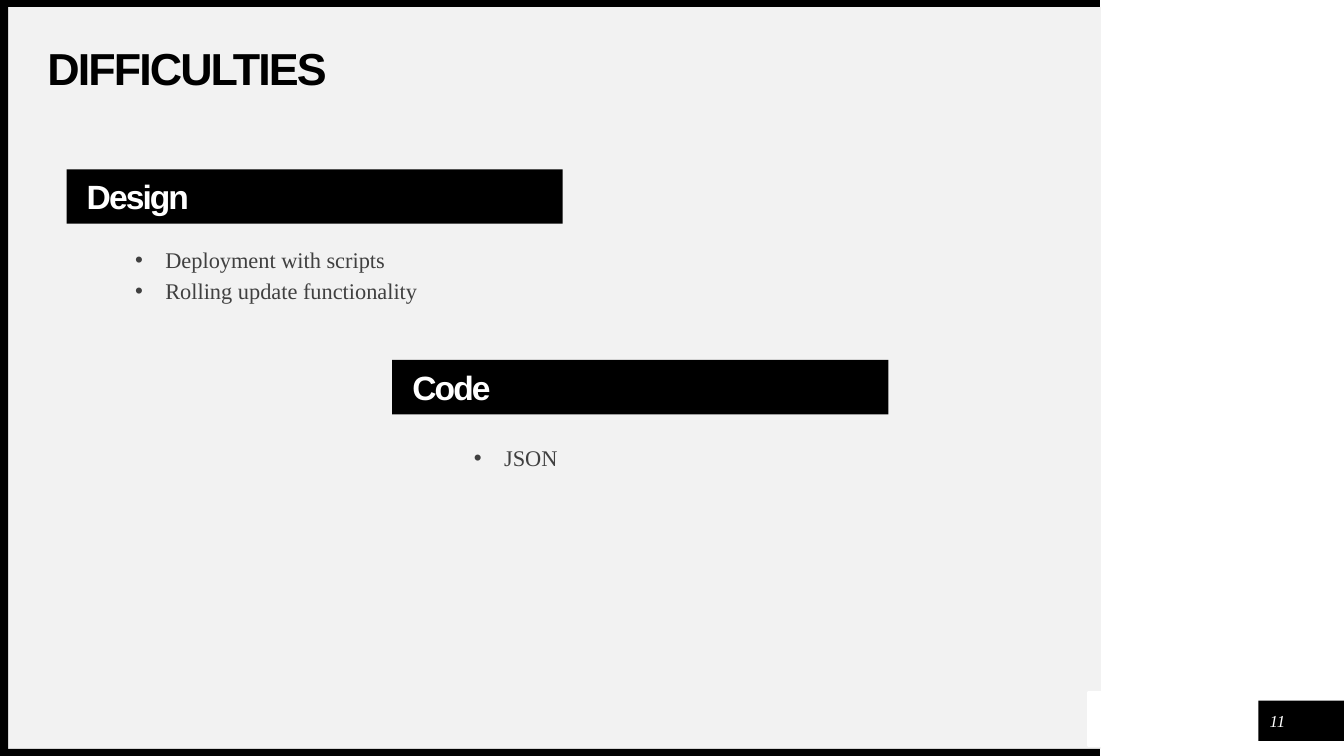
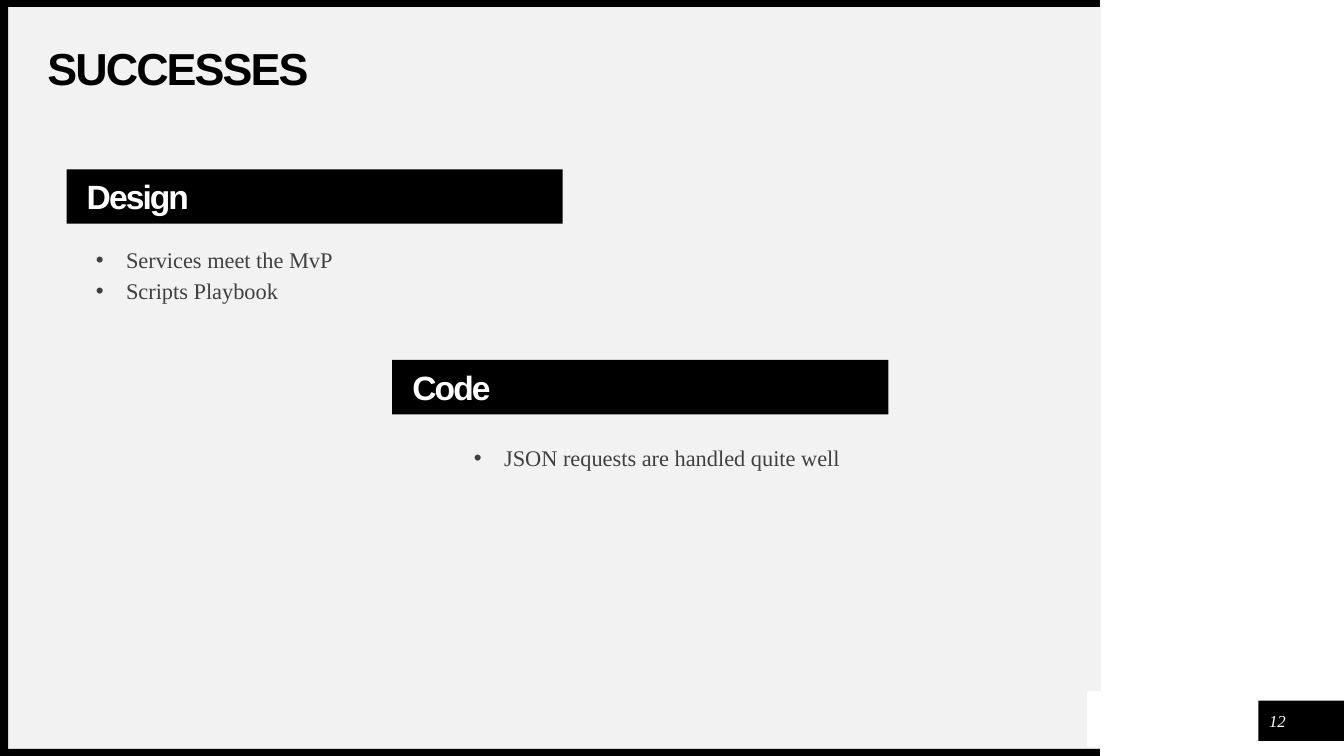
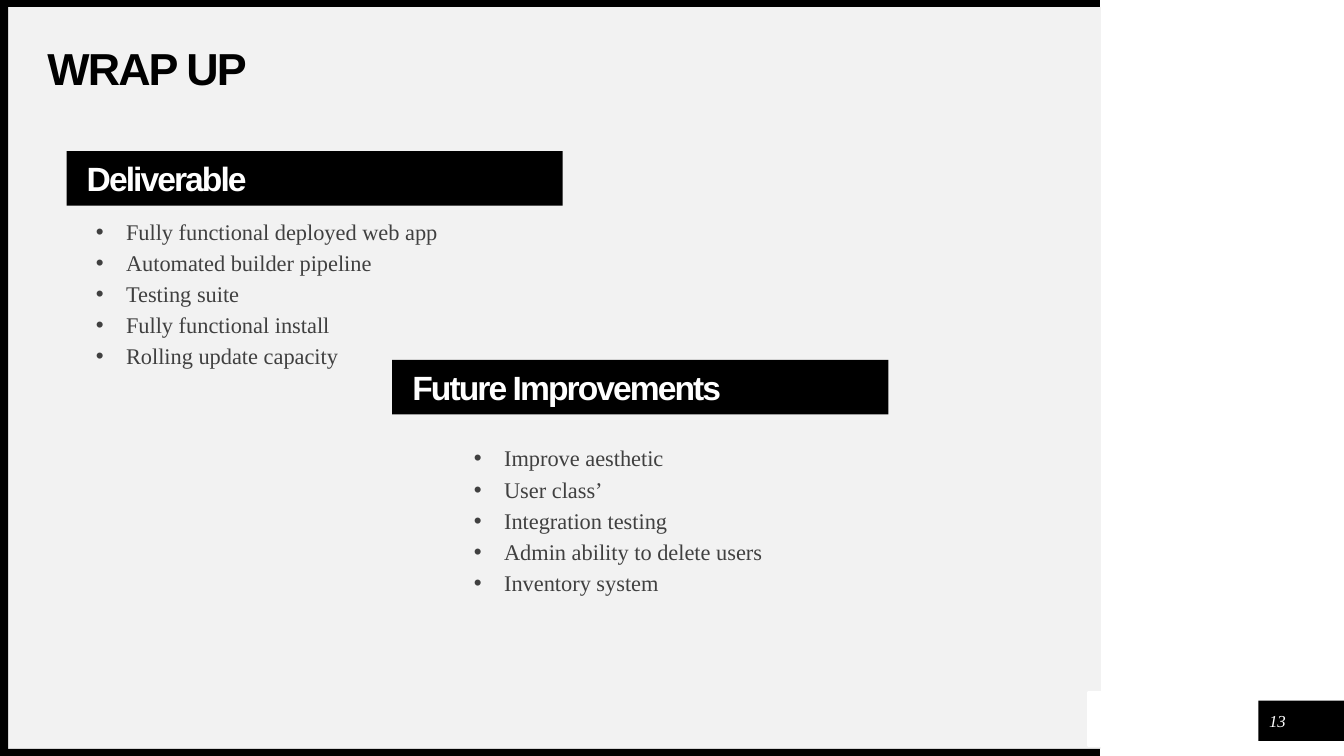
from lxml import etree
from pptx import Presentation
from pptx.dml.color import RGBColor
from pptx.enum.shapes import MSO_SHAPE
from pptx.enum.text import MSO_ANCHOR, MSO_AUTO_SIZE, PP_ALIGN
from pptx.oxml.ns import qn
from pptx.util import Emu, Pt

RECT = MSO_SHAPE.RECTANGLE
TOP, MIDDLE = MSO_ANCHOR.TOP, MSO_ANCHOR.MIDDLE
LEFT, CENTER = PP_ALIGN.LEFT, PP_ALIGN.CENTER
FIXED = MSO_AUTO_SIZE.NONE

BLACK = RGBColor(0x00, 0x00, 0x00)
WHITE = RGBColor(0xFF, 0xFF, 0xFF)
PALE = RGBColor(0xF2, 0xF2, 0xF2)
GRAY = RGBColor(0x40, 0x40, 0x40)
SANS, SERIF = "Arial", "Times New Roman"

UNIT = 9144  # EMU per px, 100 px to the inch
WIDE, HIGH = 1333, 750
BAR = (492, 54)
LIST = (531, 275)
LAYOUT = 4  # title, then two pairs of heading and list
FIRST = 11  # number of the first page

# Title, then heading spot, heading, list spot and items of both parts
PAGES = [
    ("DIFFICULTIES", [
        ((66, 168), "Design", (105, 247),
         ["Deployment with scripts", "Rolling update functionality"]),
        ((389, 357), "Code", (441, 444), ["JSON"]),
    ]),
    ("SUCCESSES", [
        ((66, 168), "Design", (66, 247),
         ["Services meet the MvP", "Scripts Playbook"]),
        ((389, 357), "Code", (441, 444),
         ["JSON requests are handled quite well"]),
    ]),
    ("WRAP UP", [
        ((66, 150), "Deliverable", (66, 219),
         ["Fully functional deployed web app", "Automated builder pipeline",
          "Testing suite", "Fully functional install",
          "Rolling update capacity"]),
        ((389, 357), "Future Improvements", (441, 444),
         ["Improve aesthetic", "User class’", "Integration testing",
          "Admin ability to delete users", "Inventory system"]),
    ]),
]


def px(count):
    return Emu(count * UNIT)


def place(shape, x, y, w, h):
    shape.left, shape.top, shape.width, shape.height = map(px, (x, y, w, h))


def set_frame(shape, anchor, left=0, top=0):
    frame = shape.text_frame
    frame.word_wrap = True
    frame.auto_size = FIXED
    frame.vertical_anchor = anchor
    frame.margin_left, frame.margin_top = px(left), px(top)
    frame.margin_right = frame.margin_bottom = 0
    return frame


def add_run(para, text, face, size, color, bold=False, italic=False):
    run = para.add_run()
    run.text = text
    font = run.font
    font.name, font.size = face, Pt(size)
    font.bold, font.italic = bold, italic
    font.color.rgb = color
    return run


def add_head(frame, text, size, color, before):
    """Bold, tightly spaced line for titles and headings."""
    para = frame.paragraphs[0]
    para.alignment = LEFT
    para.line_spacing = 0.9
    para.space_before = Pt(before)
    run = add_run(para, text, SANS, size, color, bold=True)
    run.font._element.set("spc", "-140")


def add_bullet(para):
    props = para._p.get_or_add_pPr()
    props.set("marL", str(px(59)))
    props.set("indent", str(px(-30)))
    tint = etree.SubElement(props, qn("a:buClr"))
    etree.SubElement(tint, qn("a:srgbClr"), val=str(GRAY))
    etree.SubElement(props, qn("a:buFont"), typeface=SANS)
    etree.SubElement(props, qn("a:buChar"), char="•")


def add_block(slide, box, fill, edge=0):
    shape = slide.shapes.add_shape(RECT, *map(px, box))
    shape.shadow.inherit = False
    shape.fill.solid()
    shape.fill.fore_color.rgb = fill
    if edge:
        shape.line.color.rgb = fill
        shape.line.width = Pt(edge)
    else:
        shape.line.fill.background()
    return shape


def add_decor(slide, layout):
    """Draw the shared blocks, then move them into the layout."""
    blocks = [
        add_block(slide, (8, 7, 1084, 736), PALE),
        add_block(slide, (1248, 695, 86, 40), BLACK),
        add_block(slide, (0, 743, 1091, 7), BLACK),
        add_block(slide, (0, 0, 1091, 7), BLACK),
        add_block(slide, (0, 0, 8, HIGH), BLACK),
        add_block(slide, (1079, 687, 165, 53), WHITE, edge=2),
    ]
    for key, block in enumerate(blocks, 101):
        block.element.nvSpPr.cNvPr.set("id", str(key))
        layout.shapes.element.append(block.element)


def fill_title(shape, text):
    place(shape, 47, 47, 1006, 47)
    add_head(set_frame(shape, MIDDLE), text, 32, BLACK, 0)


def fill_bar(shape, spot, text):
    place(shape, *spot, *BAR)
    shape.fill.solid()
    shape.fill.fore_color.rgb = BLACK
    add_head(set_frame(shape, MIDDLE, 20, 4), text, 24, WHITE, 10)


def fill_list(shape, spot, items):
    place(shape, *spot, *LIST)
    frame = set_frame(shape, TOP)
    for rank, item in enumerate(items):
        para = frame.add_paragraph() if rank else frame.paragraphs[0]
        para.level = 1
        para.line_spacing = 0.9
        para.space_before = Pt(5)
        add_bullet(para)
        add_run(para, item, SERIF, 16, GRAY)


def add_number(slide, number):
    box = slide.shapes.add_textbox(*map(px, (1252, 700, 30, 30)))
    para = set_frame(box, MIDDLE).paragraphs[0]
    para.alignment = CENTER
    add_run(para, str(number), SERIF, 12, WHITE, italic=True)


def main():
    deck = Presentation()
    deck.slide_width, deck.slide_height = px(WIDE), px(HIGH)
    layout = deck.slide_layouts[LAYOUT]
    for number, (title, parts) in enumerate(PAGES, FIRST):
        slide = deck.slides.add_slide(layout)
        if number == FIRST:
            add_decor(slide, layout)
        holders = slide.placeholders
        fill_title(slide.shapes.title, title)
        for key, (spot, head, start, items) in zip((1, 3), parts):
            fill_bar(holders[key], spot, head)
            fill_list(holders[key + 1], start, items)
        add_number(slide, number)
    deck.save("out.pptx")


if __name__ == "__main__":
    main()
